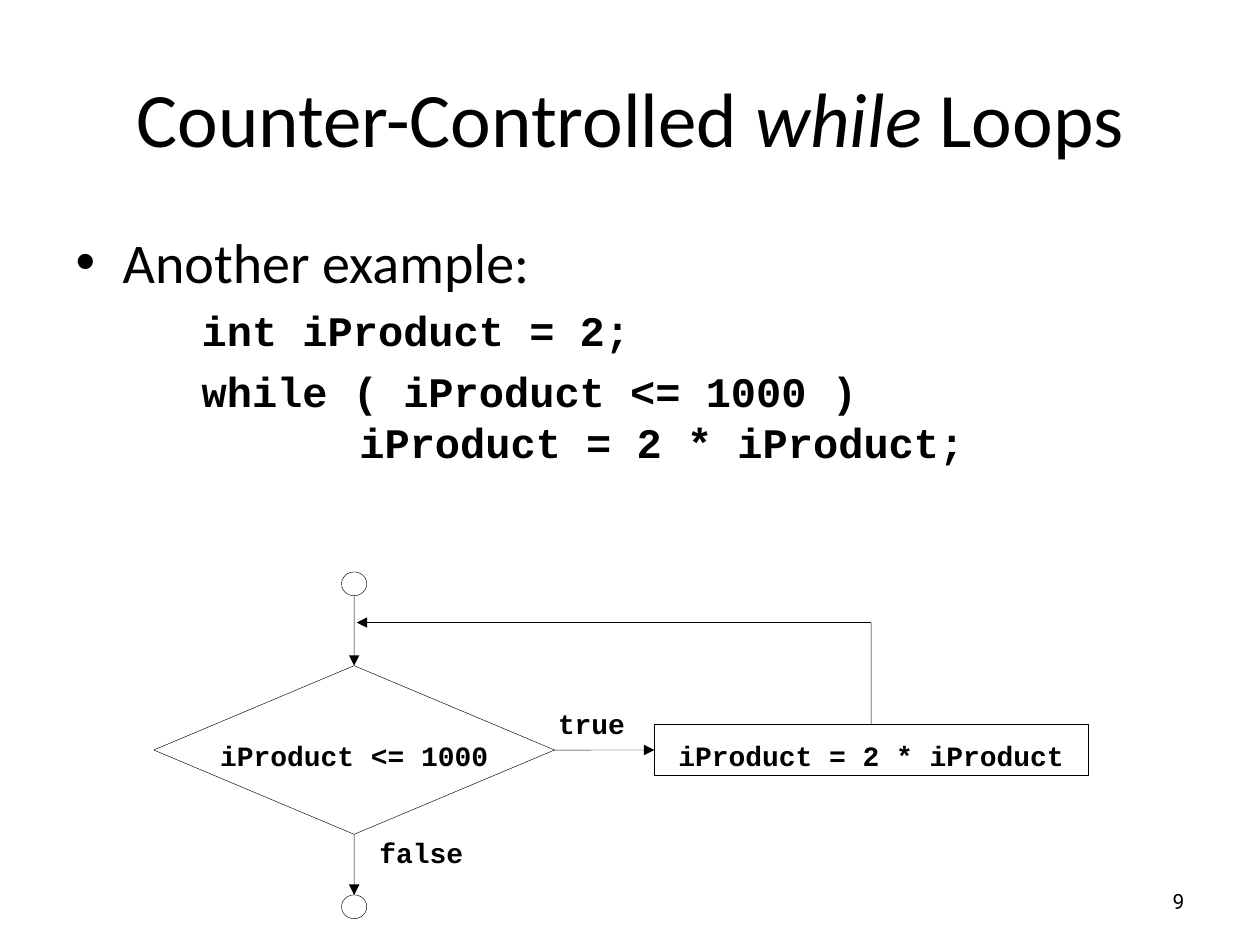
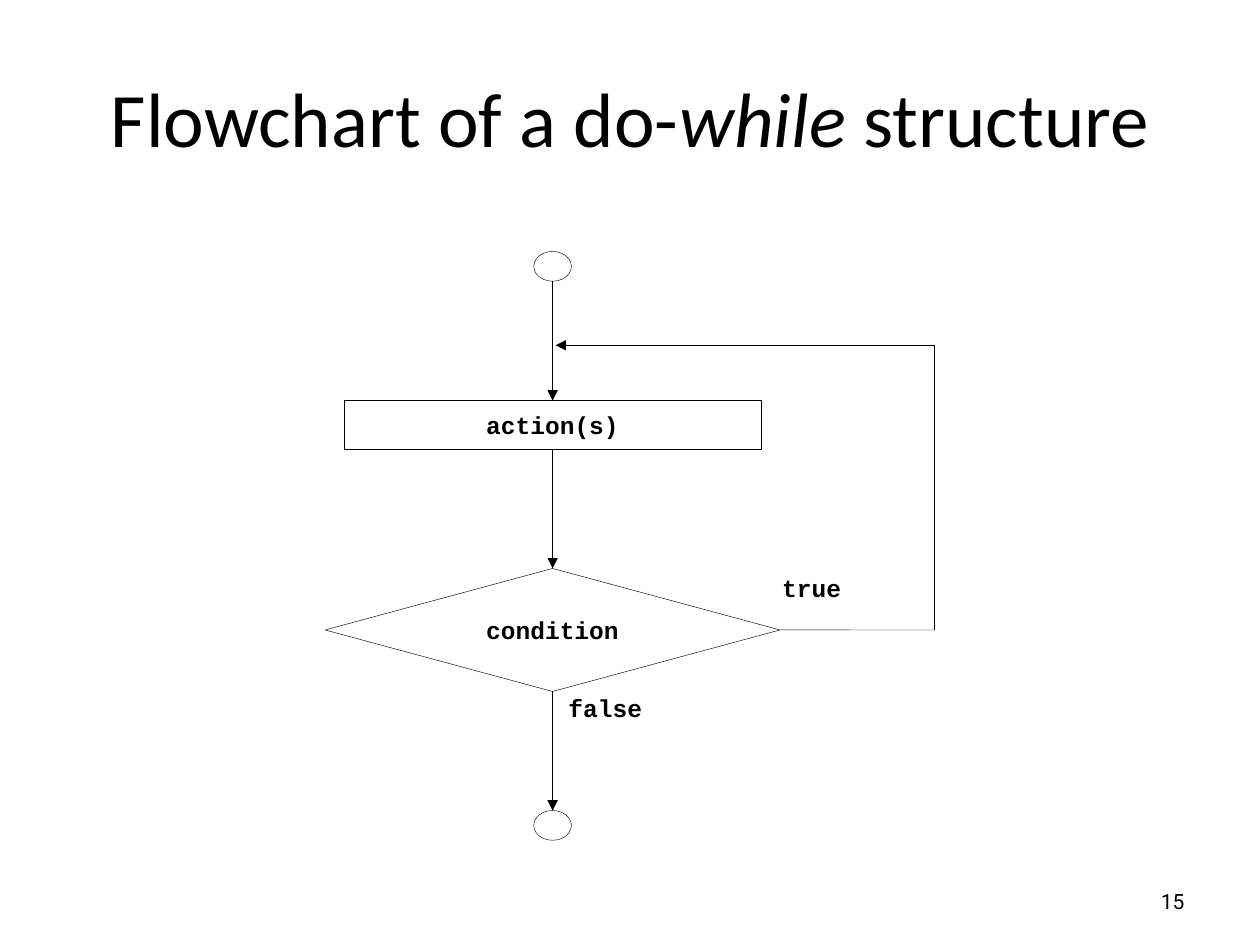
from dataclasses import dataclass

from lxml import etree
from pptx import Presentation
from pptx.dml.color import RGBColor
from pptx.enum.shapes import MSO_CONNECTOR, MSO_SHAPE
from pptx.enum.text import MSO_ANCHOR, MSO_AUTO_SIZE, PP_ALIGN
from pptx.oxml.ns import qn
from pptx.util import Cm, Pt

OVAL, DIAMOND, BOX = MSO_SHAPE.OVAL, MSO_SHAPE.DIAMOND, MSO_SHAPE.RECTANGLE
STRAIGHT = MSO_CONNECTOR.STRAIGHT
LEFT, CENTER, RIGHT = PP_ALIGN.LEFT, PP_ALIGN.CENTER, PP_ALIGN.RIGHT
TOP_ANCHOR, MIDDLE = MSO_ANCHOR.TOP, MSO_ANCHOR.MIDDLE
TOP_SIDE, LEFT_SIDE, BOTTOM_SIDE, RIGHT_SIDE = range(4)
TITLE_AND_CONTENT, TITLE_ONLY = 1, 5


@dataclass(frozen=True)
class Theme:
    ink: RGBColor = RGBColor(0, 0, 0)
    paper: RGBColor = RGBColor(255, 255, 255)
    text_font: str = "Calibri"
    code_font: str = "Courier New"
    number_font: str = "Roboto"
    title_size: int = 44
    body_size: int = 32
    code_size: int = 24
    number_size: int = 12
    line_width: float = 0.25


THEME = Theme()
TITLE_AREA = (1.27, 0.76, 22.86, 3.18)
BODY_AREA = (1.27, 4.45, 22.86, 12.57)
NUMBER_AREA = (18.21, 17.65, 5.92, 1.02)

# Nodes: shape, centre x, centre y, width, height, text. Lengths in cm.
PAGES = [
    {
        "layout": TITLE_AND_CONTENT,
        "title": ("Counter-Controlled ", "while", " Loops"),
        "lead": "Another example:",
        # Code line, indent in cm, space before in points
        "code": [
            ("int iProduct = 2;", 2.54, 6),
            ("while ( iProduct <= 1000 )", 2.54, 6),
            ("iProduct = 2 * iProduct;", 5.72, 0),
        ],
        "number": "9",
        "label_size": 16,
        "text_drop": 0.2,
        "nodes": {
            "start": (OVAL, 7.14, 11.77, 0.51, 0.48, ""),
            "condition": (DIAMOND, 7.14, 15.12, 8.08, 3.4, "iProduct <= 1000"),
            "action": (BOX, 17.56, 15.12, 8.74, 1.03, "iProduct = 2 * iProduct"),
            "end": (OVAL, 7.14, 18.28, 0.51, 0.48, ""),
        },
        "arrows": [
            ("start", BOTTOM_SIDE, "condition", TOP_SIDE),
            ("condition", RIGHT_SIDE, "action", LEFT_SIDE),
            ("condition", BOTTOM_SIDE, "end", TOP_SIDE),
        ],
        "loop": ("action", TOP_SIDE, [(17.56, 12.55), (7.19, 12.55)]),
        "labels": [("true", 11.25, 14.25), ("false", 7.65, 16.84)],
    },
    {
        "layout": TITLE_ONLY,
        "title": ("Flowchart of a do-", "while", " structure"),
        "number": "15",
        "label_size": 14,
        "text_drop": 0,
        "nodes": {
            "start": (OVAL, 11.14, 5.37, 0.76, 0.6, ""),
            "action": (BOX, 11.14, 8.57, 8.4, 0.99, "action(s)"),
            "condition": (DIAMOND, 11.14, 12.7, 9.17, 2.48, "condition"),
            "end": (OVAL, 11.14, 16.64, 0.76, 0.6, ""),
        },
        "arrows": [
            ("start", BOTTOM_SIDE, "action", TOP_SIDE),
            ("action", BOTTOM_SIDE, "condition", TOP_SIDE),
            ("condition", BOTTOM_SIDE, "end", TOP_SIDE),
        ],
        "loop": ("condition", RIGHT_SIDE,
                 [(18.84, 12.7), (18.84, 6.96), (11.2, 6.96)]),
        "labels": [("true", 15.77, 11.56), ("false", 11.46, 13.97)],
    },
]


def set_all(target, **values):
    for name, value in values.items():
        setattr(target, name, value)


def place(shape, area):
    sides = ("left", "top", "width", "height")
    set_all(shape, **{side: Cm(length) for side, length in zip(sides, area)})


def add_span(para, text, font, size, **extra):
    span = para.add_run()
    span.text = text
    set_all(span.font, name=font, size=Pt(size), **extra)
    span.font.color.rgb = THEME.ink


def set_frame(frame, anchor, wrap=True, **margins):
    set_all(frame, word_wrap=wrap, auto_size=MSO_AUTO_SIZE.NONE,
            vertical_anchor=anchor, **margins)


def add_title(slide, parts):
    title = slide.shapes.title
    place(title, TITLE_AREA)
    set_frame(title.text_frame, MIDDLE)
    para = title.text_frame.paragraphs[0]
    para.alignment = CENTER
    for index, part in enumerate(parts):
        add_span(para, part, THEME.text_font, THEME.title_size, italic=index == 1)


def set_indent(para, margin, hanging, bullet=None):
    properties = para._p.get_or_add_pPr()
    properties.set("marL", str(Cm(margin)))
    properties.set("indent", str(-Cm(hanging)))
    if bullet:
        etree.SubElement(properties, qn("a:buChar")).set("char", bullet)
    else:
        etree.SubElement(properties, qn("a:buNone"))


def add_body(slide, lead, code):
    body = slide.placeholders[1]
    place(body, BODY_AREA)
    frame = body.text_frame
    set_frame(frame, TOP_ANCHOR)
    para = frame.paragraphs[0]
    set_indent(para, 0.95, 0.95, "•")
    para.space_before = Pt(0)
    add_span(para, lead, THEME.text_font, THEME.body_size)
    for line, margin, space in code:
        para = frame.add_paragraph()
        para.level = 2
        set_indent(para, margin, 0)
        para.space_before = Pt(space)
        add_span(para, line, THEME.code_font, THEME.code_size, bold=True)


def add_number(slide, number):
    box = slide.shapes.add_textbox(*map(Cm, NUMBER_AREA))
    set_frame(box.text_frame, MIDDLE)
    para = box.text_frame.paragraphs[0]
    para.alignment = RIGHT
    add_span(para, number, THEME.number_font, THEME.number_size)


def write_code(shape, text, size, align, anchor, drop=0):
    frame = shape.text_frame
    set_frame(frame, anchor, wrap=False, margin_left=0, margin_right=0,
              margin_top=Cm(drop), margin_bottom=0)
    para = frame.paragraphs[0]
    para.alignment = align
    add_span(para, text, THEME.code_font, size, bold=True)


def set_line(shape):
    shape.line.color.rgb = THEME.ink
    shape.line.width = Pt(THEME.line_width)


def add_node(slide, kind, center_x, center_y, width, height, text, size, drop):
    node = slide.shapes.add_shape(
        kind, Cm(center_x - width / 2), Cm(center_y - height / 2),
        Cm(width), Cm(height))
    node.shadow.inherit = False
    node.fill.solid()
    node.fill.fore_color.rgb = THEME.paper
    set_line(node)
    if text:
        write_code(node, text, size, CENTER, MIDDLE, drop)
    return node


def side_point(node, side):
    middle_x, middle_y = node.left + node.width // 2, node.top + node.height // 2
    return {
        TOP_SIDE: (middle_x, node.top),
        LEFT_SIDE: (node.left, middle_y),
        BOTTOM_SIDE: (middle_x, node.top + node.height),
        RIGHT_SIDE: (node.left + node.width, middle_y),
    }[side]


def add_line(slide, begin, end, arrow):
    line = slide.shapes.add_connector(STRAIGHT, *begin, *end)
    set_line(line)
    etree.SubElement(line._element.spPr, qn("a:effectLst"))
    if arrow:
        outline = line.line._get_or_add_ln()
        etree.SubElement(outline, qn("a:tailEnd")).set("type", "triangle")
    return line


def add_flowchart(slide, page):
    size = page["label_size"]
    nodes = {name: add_node(slide, *node, size, page["text_drop"])
             for name, node in page["nodes"].items()}

    for source, source_side, target, target_side in page["arrows"]:
        begin, end = nodes[source], nodes[target]
        line = add_line(slide, side_point(begin, source_side),
                        side_point(end, target_side), arrow=True)
        if page["nodes"][source][0] != OVAL:
            line.begin_connect(begin, source_side)
        line.end_connect(end, target_side)

    source, side, corners = page["loop"]
    points = [side_point(nodes[source], side)]
    points += [(Cm(x), Cm(y)) for x, y in corners]
    lines = [add_line(slide, begin, end, arrow=end == points[-1])
             for begin, end in zip(points, points[1:])]
    lines[0].begin_connect(nodes[source], side)

    for text, left, top in page["labels"]:
        box = slide.shapes.add_textbox(Cm(left), Cm(top), Cm(2.2), Cm(0.9))
        write_code(box, text, size, LEFT, TOP_ANCHOR)


def main():
    deck = Presentation()
    deck.slide_width, deck.slide_height = Cm(25.4), Cm(19.05)
    for page in PAGES:
        slide = deck.slides.add_slide(deck.slide_layouts[page["layout"]])
        add_title(slide, page["title"])
        if "code" in page:
            add_body(slide, page["lead"], page["code"])
        add_number(slide, page["number"])
        add_flowchart(slide, page)
    deck.save("out.pptx")


if __name__ == "__main__":
    main()
